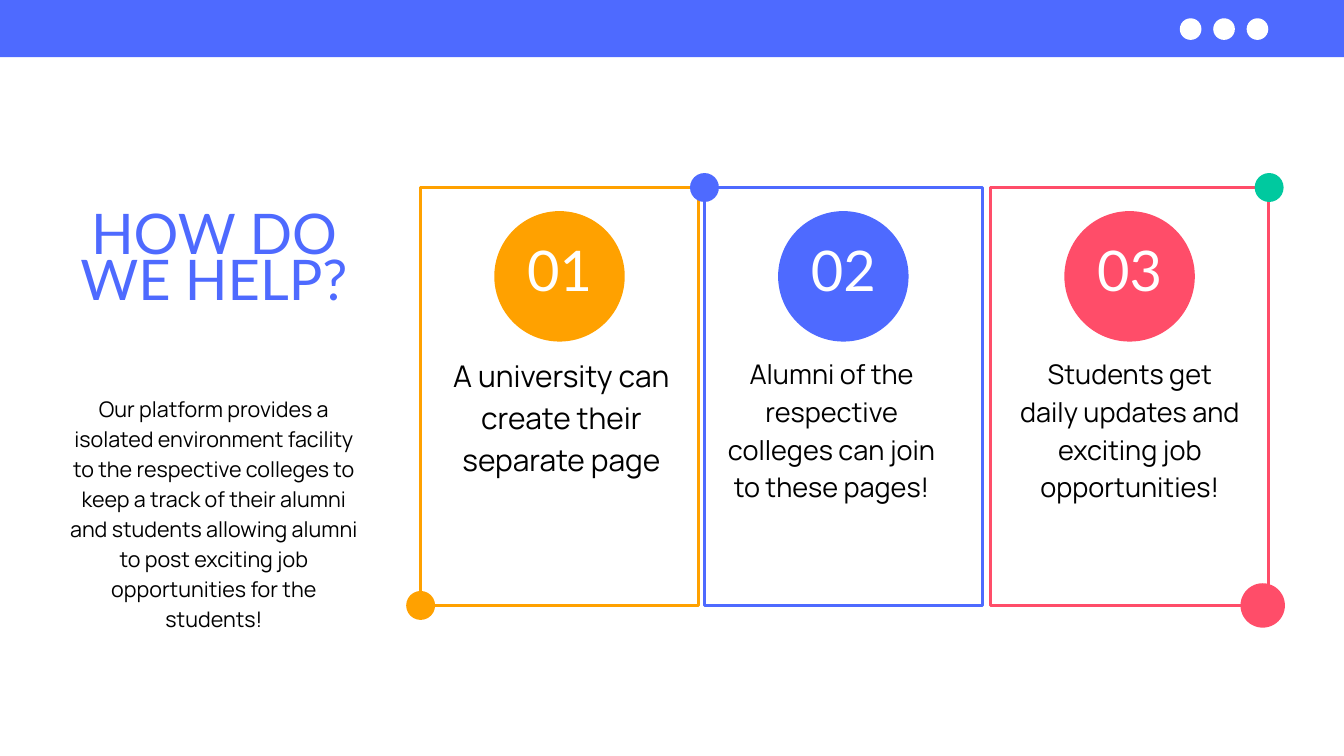
from pptx import Presentation
from pptx.dml.color import RGBColor
from pptx.enum.shapes import MSO_SHAPE
from pptx.enum.text import PP_ALIGN
from pptx.util import Pt

RECTANGLE, OVAL = MSO_SHAPE.RECTANGLE, MSO_SHAPE.OVAL
CENTER = PP_ALIGN.CENTER
COLORS = {"blue": "4E6AFF", "orange": "FFA100", "red": "FF4D69",
          "green": "00C99F", "white": "FFFFFF", "black": "000000"}
HEADING_FONT, BODY_FONT = "Lato", "Manrope"

SLIDE_W, SLIDE_H = 1440, 810
CARD_TOP, CARD_W, CARD_H = 200.9, 297.6, 447.8
# left, color, number, text, text inset, text size, line spacing
CARDS = [
    (450.7, "orange", "01", "A university can create their separate page",
     32.4, 32, 44.8),
    (754.8, "blue", "02",
     "Alumni of the respective colleges can join to these pages!",
     17.8, 29, 40.6),
    (1061.5, "red", "03",
     "Students get daily updates and exciting job opportunities!",
     30.7, 29, 40.6),
]


def rgb(name):
    return RGBColor.from_string(COLORS[name])


def add_filled(slide, kind, left, top, width, height, fill, outline=None):
    shape = slide.shapes.add_shape(kind, Pt(left), Pt(top), Pt(width), Pt(height))
    shape.shadow.inherit = False
    shape.fill.solid()
    shape.fill.fore_color.rgb = rgb(fill)
    if outline:
        shape.line.color.rgb = rgb(outline)
        shape.line.width = Pt(3)
    else:
        shape.line.fill.background()


def add_dot(slide, center_x, center_y, diameter, color):
    add_filled(slide, OVAL, center_x - diameter / 2, center_y - diameter / 2,
               diameter, diameter, color)


def add_text(slide, left, top, width, height, text, font, size, spacing, color):
    box = slide.shapes.add_textbox(Pt(left), Pt(top), Pt(width), Pt(height))
    frame = box.text_frame
    frame.word_wrap = True
    frame.margin_left = frame.margin_right = Pt(0)
    frame.margin_top = frame.margin_bottom = Pt(0)
    paragraph = frame.paragraphs[0]
    paragraph.text = text
    paragraph.alignment = CENTER
    paragraph.line_spacing = Pt(spacing)
    run_font = paragraph.runs[0].font
    run_font.name = font
    run_font.size = Pt(size)
    run_font.color.rgb = rgb(color)


def add_top_bar(slide, left, top, width, height):
    add_filled(slide, RECTANGLE, left, top, width, height, "blue")
    for index in range(3):
        add_dot(slide, left + width - 164.3 + index * 35.8, top + 31.2, 23.2, "white")


def add_intro(slide, left, top, width):
    add_text(slide, left + 8.6, top, width - 17.2, 153.4, "HOW DO WE HELP?",
             HEADING_FONT, 60, 49.2, "blue")
    add_text(slide, left, top + 184.3, width, 252,
             "Our platform provides a isolated environment facility to the "
             "respective colleges to keep a track of their alumni and students "
             "allowing alumni to post exciting job opportunities for the students!",
             BODY_FONT, 23, 32.2, "black")


def add_card(slide, left, top, width, height, color, number, text,
             inset, size, spacing):
    center_x = left + width / 2
    add_filled(slide, RECTANGLE, left, top, width, height, "white", color)
    add_dot(slide, center_x, top + 95.2, 139.8, color)
    add_text(slide, center_x - 52.6, top + 79.2, 105.2, 51.1, number,
             HEADING_FONT, 60, 43.8, "white")
    add_text(slide, left + inset, top + 176, 236.9, spacing * 4, text,
             BODY_FONT, size, spacing, "black")


def add_corner_dots(slide, lefts, top, width, height):
    first, second, third = lefts
    right, bottom = third + width, top + height
    add_dot(slide, right + 0.7, top, 31, "green")
    add_dot(slide, right - 6.2, bottom, 47.6, "red")
    add_dot(slide, second, top, 31, "blue")
    add_dot(slide, first, bottom, 31, "orange")


def main():
    prs = Presentation()
    prs.slide_width, prs.slide_height = Pt(SLIDE_W), Pt(SLIDE_H)
    slide = prs.slides.add_slide(prs.slide_layouts[6])
    add_top_bar(slide, 0, 0, SLIDE_W, 61.2)
    add_intro(slide, 72, 235.4, 314.6)
    for left, *content in CARDS:
        add_card(slide, left, CARD_TOP, CARD_W, CARD_H, *content)
    add_corner_dots(slide, [card[0] for card in CARDS], CARD_TOP, CARD_W, CARD_H)
    prs.save("out.pptx")


if __name__ == "__main__":
    main()
